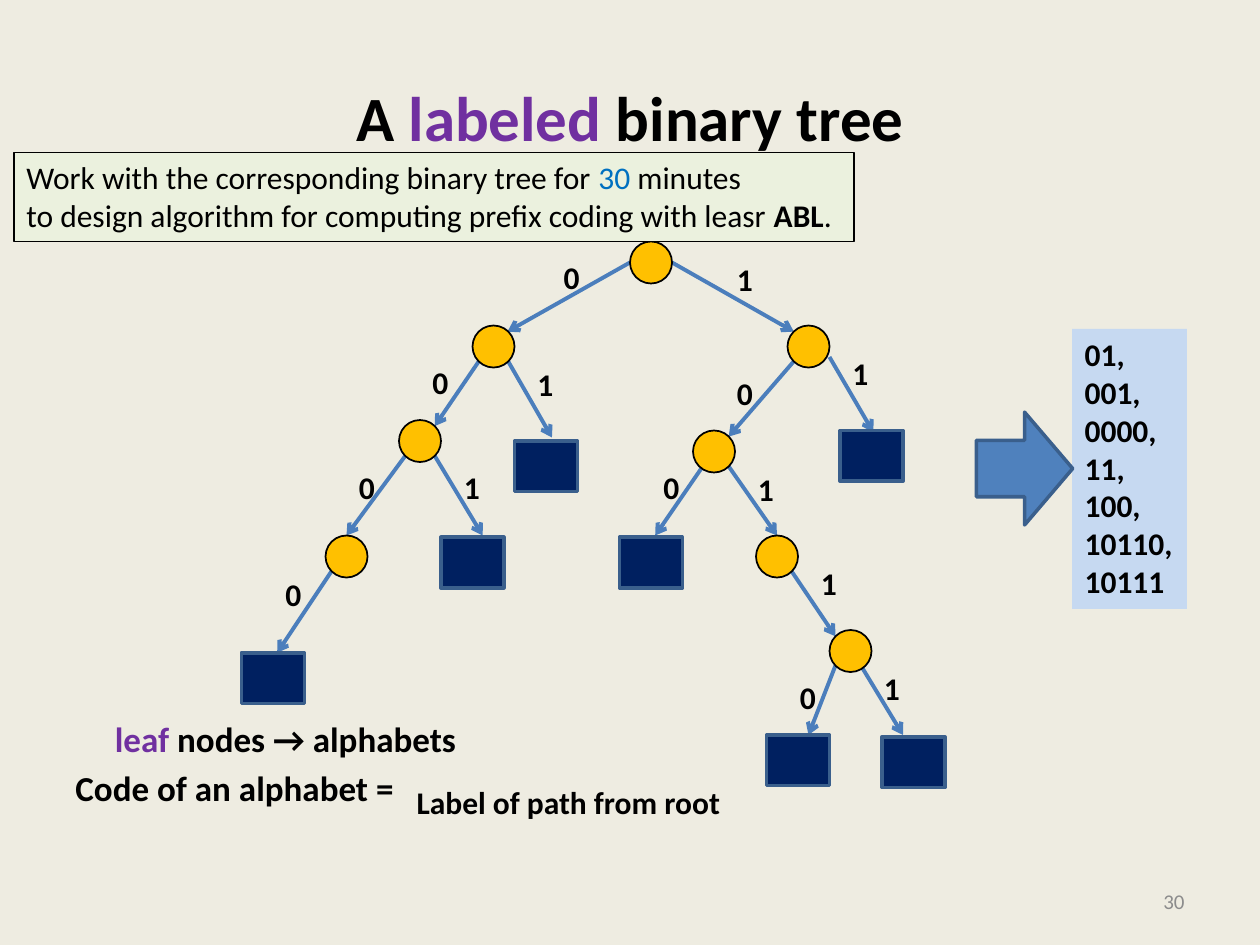
import pptx
import pptx.util
import pptx.dml.color
import pptx.enum.shapes
import pptx.enum.text
import pptx.oxml
import pptx.oxml.ns

Pt = pptx.util.Pt
Kind = pptx.enum.shapes.MSO_SHAPE
Align = pptx.enum.text.PP_ALIGN
Anchor = pptx.enum.text.MSO_ANCHOR

COLORS = {
    "back": "EEECE1", "ink": "000000", "violet": "7030A0", "blue": "0070C0",
    "gray": "8C8C8C", "edge": "4B7EBC", "rim": "3A5F8C", "node": "FFC000",
    "leaf": "002060", "arrow": "4F81BD", "codes": "C6D9F1", "task": "EBF1DE",
}

# Start x, y; end x, y; label left, top; bit
EDGES = [
    (360, 150, 290, 189.5, 315, 144, "0"),
    (384, 150, 453.6, 189.5, 414, 145, "1"),
    (273.6, 206.5, 248.4, 243.5, 240, 204, "0"),
    (290.4, 206.5, 315.4, 250, 300, 205, "1"),
    (231.6, 260.5, 198, 306, 198, 264, "0"),
    (248.4, 260.5, 275.8, 306, 258, 264, "1"),
    (189.6, 326.2, 158.4, 373, 156, 325, "0"),
    (453.6, 206.5, 416.4, 249.5, 414, 210, "0"),
    (474, 204, 499, 247, 480, 199, "1"),
    (401.6, 266.5, 374.4, 306, 372, 264, "0"),
    (416.4, 266.5, 444, 306, 426, 265, "1"),
    (452.2, 326.2, 477.4, 363.6, 462, 319, "1"),
    (477.4, 380.4, 462, 420, 450, 384, "0"),
    (492, 380.4, 516, 420, 498, 379, "1"),
]
NODES = [(360, 138), (270, 186), (450, 186), (228, 240), (396, 246),
         (186, 306), (432, 306), (474, 360)]
LEAVES = [(294, 252), (480, 246), (252, 307), (354, 307), (138, 373),
          (438, 420), (504, 421)]
CODES = ["01,", "001,", "0000,", "11,", "100,", "10110,", "10111"]


class Deck:
    font = "Calibri"

    def __init__(self, show):
        self.slide = show.slides.add_slide(show.slide_layouts[5])
        self.shapes = self.slide.shapes
        self.paint(self.slide.background.fill, "back")

    def color(self, name):
        return pptx.dml.color.RGBColor.from_string(COLORS[name])

    def paint(self, fill, name):
        fill.solid()
        fill.fore_color.rgb = self.color(name)

    def rim(self, line, name, width):
        line.color.rgb = self.color(name)
        line.width = Pt(width)

    def put(self, para, runs, size, bold):
        """Add runs to a paragraph, each (text, color) or (text, color, bold)."""
        for text, name, *own in runs:
            run = para.add_run()
            run.text = text
            run.font.name = self.font
            run.font.size = Pt(size)
            run.font.bold = own[0] if own else bold
            run.font.color.rgb = self.color(name)

    def title(self, box, runs, size):
        shape = self.shapes.title
        shape.left, shape.top, shape.width, shape.height = map(Pt, box)
        frame = shape.text_frame
        frame.vertical_anchor = Anchor.MIDDLE
        para = frame.paragraphs[0]
        para.alignment = Align.CENTER
        self.put(para, runs, size, True)

    def text(self, box, paras, size=18, bold=True, fill=None, gap=0, wrap=False):
        shape = self.shapes.add_textbox(*map(Pt, box))
        frame = shape.text_frame
        frame.word_wrap = wrap
        if fill:
            self.paint(shape.fill, fill)
        for i, runs in enumerate(paras):
            para = frame.add_paragraph() if i else frame.paragraphs[0]
            if i and gap:
                para.space_before = Pt(gap)
            self.put(para, runs, size, bold)
        return shape

    def shape(self, kind, box, fill, line, width):
        shape = self.shapes.add_shape(kind, *map(Pt, box))
        shape.shadow.inherit = False
        self.paint(shape.fill, fill)
        self.rim(shape.line, line, width)

    def edge(self, *ends):
        line = self.shapes.add_connector(
            pptx.enum.shapes.MSO_CONNECTOR.STRAIGHT, *map(Pt, ends))
        self.rim(line.line, "edge", 2.25)
        space = pptx.oxml.ns.nsdecls("a")
        props = line._element.spPr
        props.find(pptx.oxml.ns.qn("a:ln")).append(
            pptx.oxml.parse_xml(f'<a:tailEnd {space} type="arrow"/>'))
        props.append(pptx.oxml.parse_xml(f"<a:effectLst {space}/>"))


def main():
    show = pptx.Presentation()
    show.slide_width, show.slide_height = Pt(720), Pt(540)
    deck = Deck(show)

    deck.title((36, 21.6, 648, 90), [
        ("A ", "ink"), ("labeled", "violet"), (" binary tree", "ink")], 36)
    notes = deck.text((36, 406.5, 250, 64), [
        [("leaf", "violet"), (" nodes → alphabets", "ink")],
        [("Code of an alphabet =", "ink")]], size=20, gap=4, wrap=True)
    indent = notes.text_frame.paragraphs[0]._p.get_or_add_pPr()
    indent.set("marL", str(Pt(22.5)))
    page = deck.text((516, 500.4, 168, 28.8), [[("30", "gray")]],
                     size=12, bold=False, wrap=True)
    page.text_frame.vertical_anchor = Anchor.MIDDLE
    page.text_frame.paragraphs[0].alignment = Align.RIGHT

    for *ends, left, top, bit in EDGES:
        deck.edge(*ends)
        deck.text((left, top, 24, 29), [[(bit, "ink")]])
    for spot in NODES:
        deck.shape(Kind.OVAL, (*spot, 24, 24), "node", "ink", 1)
    for spot in LEAVES:
        deck.shape(Kind.RECTANGLE, (*spot, 36, 29), "leaf", "rim", 2)

    deck.text((231, 444, 194, 29), [[("Label of path from root", "ink")]],
              fill="back")
    deck.text((612.7, 188, 65.5, 160), [[(code, "ink")] for code in CODES],
              fill="codes")
    deck.shape(Kind.RIGHT_ARROW, (558, 235.5, 55, 64.5), "arrow", "rim", 2)
    task = deck.text((8, 87, 480, 51), [
        [("Work with the corresponding binary tree for ", "ink"),
         ("30", "blue"), (" minutes", "ink")],
        [("to design algorithm for computing prefix coding with leasr ", "ink"),
         ("ABL", "ink", True), (".", "ink")]], bold=False, fill="task")
    deck.rim(task.line, "ink", 0.75)

    show.save("out.pptx")


if __name__ == "__main__":
    main()
